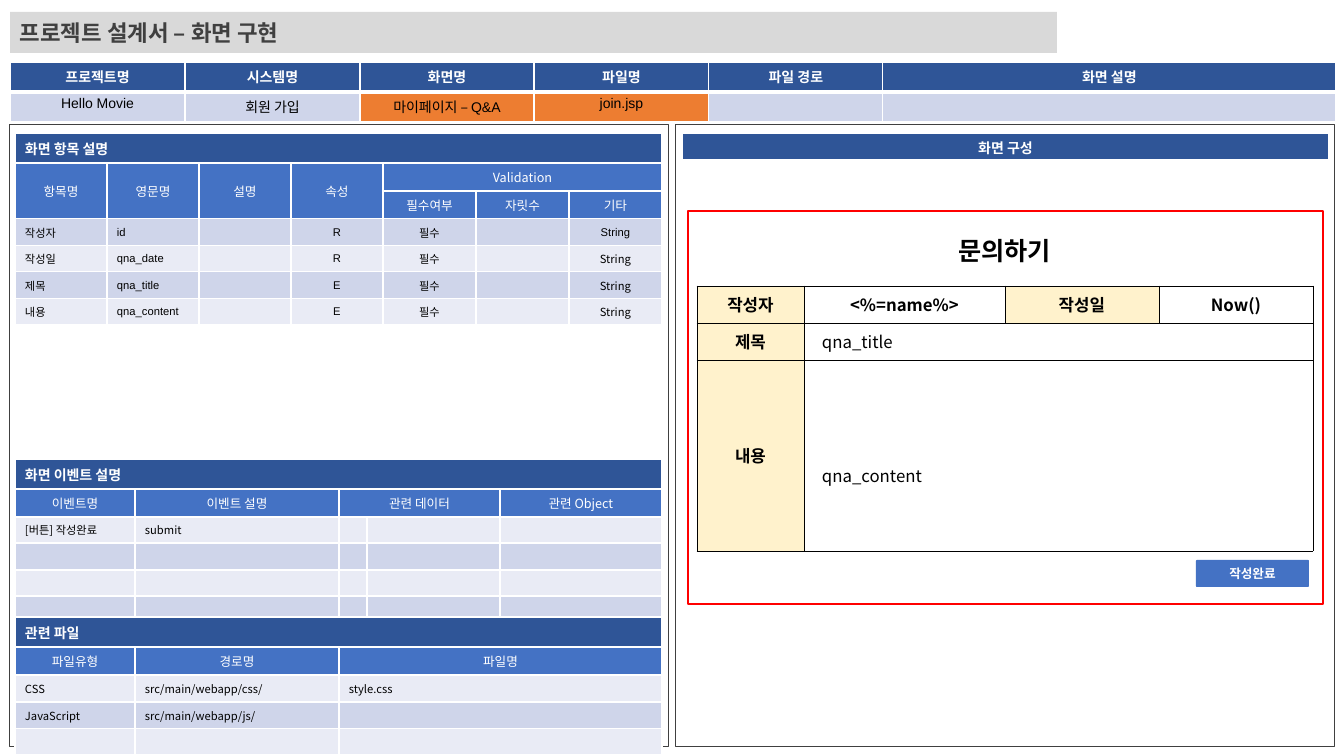
from lxml import etree
from pptx import Presentation
from pptx.dml.color import RGBColor
from pptx.enum.shapes import MSO_SHAPE
from pptx.enum.text import MSO_ANCHOR, PP_ALIGN
from pptx.oxml.ns import qn
from pptx.util import Emu, Pt

RECT, ROUNDED = MSO_SHAPE.RECTANGLE, MSO_SHAPE.ROUNDED_RECTANGLE
LEFT, CENTER = PP_ALIGN.LEFT, PP_ALIGN.CENTER
TOP, MIDDLE = MSO_ANCHOR.TOP, MSO_ANCHOR.MIDDLE

PX = 914400 / 100.8
SANS, ARIAL = "Noto Sans CJK KR", "Arial"
WHITE, BLACK, DARK = "FFFFFF", "000000", "404040"
NAVY, BLUE, PALE, PALER = "2F5597", "4472C4", "CFD5EA", "E9EBF5"
ORANGE, CREAM, GRAY, RED = "ED7D31", "FFF2CC", "D9D9D9", "FF0000"

# Cell styles
BASE = dict(fill=WHITE, color=BLACK, size=8, bold=False, font=SANS, align=LEFT,
            anchor=MIDDLE, border=WHITE, line=1, bottom=1, inset=10, drop=0)
SECTION = {**BASE, "fill": NAVY, "color": WHITE, "size": 10, "bold": True}
HEADING = {**BASE, "fill": BLUE, "color": WHITE, "size": 9, "align": CENTER}
BODY_PALE = {**BASE, "fill": PALE}
BODY_PALER = {**BASE, "fill": PALER}
BANNER = {**SECTION, "font": ARIAL, "align": CENTER, "anchor": TOP, "bottom": 3}
BANNER_VALUE = {**BANNER, "fill": PALE, "color": BLACK, "bold": False, "bottom": 1}
FORM = {**BASE, "size": 12, "bold": True, "align": CENTER, "border": BLACK,
        "line": 0.5, "bottom": 0.5}


def px(value):
    return Emu(round(value * PX))


def rgb(value):
    return RGBColor.from_string(value)


class Deck:
    def __init__(self):
        self.prs = Presentation()
        self.prs.slide_width, self.prs.slide_height = px(1344), px(756)
        self.slide = self.prs.slides.add_slide(self.prs.slide_layouts[6])

    def add_text(self, frame, text, size, color, bold, font=SANS, align=LEFT):
        paragraph = frame.paragraphs[0]
        paragraph.alignment = align
        if not text:
            # Keeps an empty cell as low as its row
            etree.SubElement(paragraph._p, qn("a:endParaRPr"), sz=str(size * 100))
            return
        run = paragraph.add_run()
        run.text = text
        run.font.size, run.font.bold, run.font.name = Pt(size), bold, font
        run.font.color.rgb = rgb(color)
        etree.SubElement(run._r.get_or_add_rPr(), qn("a:ea"), typeface=SANS)

    def box(self, left, top, width, height, kind=RECT, fill=None, line=None, weight=0.5):
        shape = self.slide.shapes.add_shape(kind, px(left), px(top), px(width), px(height))
        shape.shadow.inherit = False
        if fill:
            shape.fill.solid()
            shape.fill.fore_color.rgb = rgb(fill)
        else:
            shape.fill.background()
        if line:
            shape.line.color.rgb = rgb(line)
            shape.line.width = Pt(weight)
        else:
            shape.line.fill.background()
        shape.text_frame.vertical_anchor = MIDDLE
        return shape

    def label(self, left, top, width, height, text, size):
        frame = self.slide.shapes.add_textbox(px(left), px(top), px(width), px(height)).text_frame
        frame.word_wrap = True
        self.add_text(frame, text, size, BLACK, True, align=CENTER)

    def borders(self, cell, style):
        properties = cell._tc.get_or_add_tcPr()
        for place, side in enumerate(("lnL", "lnR", "lnT", "lnB")):
            points = style["bottom"] if side == "lnB" else style["line"]
            line = etree.Element(qn("a:" + side), w=str(int(Pt(points))))
            fill = etree.SubElement(line, qn("a:solidFill"))
            etree.SubElement(fill, qn("a:srgbClr"), val=style["border"])
            properties.insert(place, line)

    def table(self, left, top, widths, rows, merges=()):
        """Each row is (height, style, cells); a cell is text or (text, style changes)."""
        table = self.slide.shapes.add_table(
            len(rows), len(widths), px(left), px(top), px(sum(widths)),
            px(sum(height for height, _, _ in rows))).table
        table.first_row = table.horz_banding = False
        for column, width in zip(table.columns, widths):
            column.width = px(width)
        for r, (height, row_style, cells) in enumerate(rows):
            table.rows[r].height = px(height)
            for c in range(len(widths)):
                entry = cells[c] if c < len(cells) else ""
                text, changes = (entry, {}) if isinstance(entry, str) else entry
                style = {**row_style, **changes}
                cell = table.cell(r, c)
                cell.fill.solid()
                cell.fill.fore_color.rgb = rgb(style["fill"])
                cell.vertical_anchor = style["anchor"]
                cell.margin_left, cell.margin_right = px(style["inset"]), px(10)
                cell.margin_top, cell.margin_bottom = px(4 + style["drop"]), px(4)
                self.borders(cell, style)
                self.add_text(cell.text_frame, text, style["size"], style["color"],
                              style["bold"], style["font"], style["align"])
        for first_row, first_col, last_row, last_col in merges:
            table.cell(first_row, first_col).merge(table.cell(last_row, last_col))


def item_row(height, style, name, field, attribute, type_font=SANS):
    centred = {"align": CENTER}
    return (height, {**style, "font": ARIAL},
            [name, field, "", (attribute, centred), ("필수", centred), "",
             ("String", {"align": CENTER, "font": type_font})])


def main():
    deck = Deck()

    # Panels
    for panel_left in (9, 675):
        deck.box(panel_left, 124, 659, 622, line=DARK)

    # Project summary
    orange = {"fill": ORANGE}
    deck.table(10, 62, [175, 175, 174, 175, 174, 453], [
        (30, BANNER, ["프로젝트명", "시스템명", "화면명", "파일명", "파일 경로", "화면 설명"]),
        (30, BANNER_VALUE, ["Hello Movie", "회원 가입", ("마이페이지 – Q&A", orange),
                            ("join.jsp", orange)]),
    ])

    # Screen items
    deck.table(15, 133, [92] * 4 + [93] * 3, [
        (30, SECTION, ["화면 항목 설명"]),
        (28, HEADING, ["항목명", "영문명", "설명", "속성", "Validation"]),
        (28, HEADING, ["", "", "", "", "필수여부", "자릿수", "기타"]),
        item_row(27, BODY_PALE, "작성자", "id", "R", ARIAL),
        item_row(26, BODY_PALER, "작성일", "qna_date", "R"),
        item_row(27, BODY_PALE, "제목", "qna_title", "E"),
        item_row(26, BODY_PALER, "내용", "qna_content", "E"),
    ], [(0, 0, 0, 6), (1, 4, 1, 6)] + [(1, c, 2, c) for c in range(4)])

    # Screen events
    deck.table(15, 459, [120, 204, 28, 133, 162], [
        (30, SECTION, ["화면 이벤트 설명"]),
        (28, HEADING, ["이벤트명", "이벤트 설명", "관련 데이터", "", "관련 Object"]),
        (26, BODY_PALER, ["[버튼] 작성완료", "submit"]),
        (27, BODY_PALE, []),
        (26, BODY_PALER, []),
        (26, BODY_PALE, []),
    ], [(0, 0, 0, 4), (1, 2, 1, 3)])

    # Related files
    deck.table(15, 617, [120, 204, 323], [
        (30, SECTION, ["관련 파일"]),
        (28, HEADING, ["파일유형", "경로명", "파일명"]),
        (27, BODY_PALER, ["CSS", "src/main/webapp/css/", "style.css"]),
        (27, BODY_PALE, ["JavaScript", "src/main/webapp/js/"]),
        (26, BODY_PALER, []),
    ], [(0, 0, 0, 2)])

    # Screen layout
    deck.table(682, 133, [647], [(28, {**BANNER, "font": SANS}, ["화면 구성"])])
    deck.label(881, 230, 247, 40, "문의하기", 18)
    deck.box(688, 211, 635, 393, line=RED, weight=1.5)
    submit = deck.box(1196, 560, 113, 27, ROUNDED, fill=BLUE)
    submit.adjustments[0] = 0.04
    deck.add_text(submit.text_frame, "작성완료", 9, WHITE, True, ARIAL, CENTER)

    # Question form
    cream = {"fill": CREAM}
    value = {"bold": False, "align": LEFT, "inset": 18}
    deck.table(697, 286, [107, 201, 154, 154], [
        (37, FORM, [("작성자", cream), "<%=name%>", ("작성일", cream), "Now()"]),
        (37, FORM, [("제목", cream), ("qna_title", value)]),
        (191, FORM, [("내용", cream), ("qna_content", {**value, "drop": 40})]),
    ], [(1, 1, 1, 3), (2, 1, 2, 3)])

    # Title bar
    title = deck.box(10, 12, 1047, 41, fill=GRAY)
    deck.add_text(title.text_frame, "프로젝트 설계서 – 화면 구현", 16, DARK, True)

    deck.prs.save("out.pptx")


if __name__ == "__main__":
    main()
